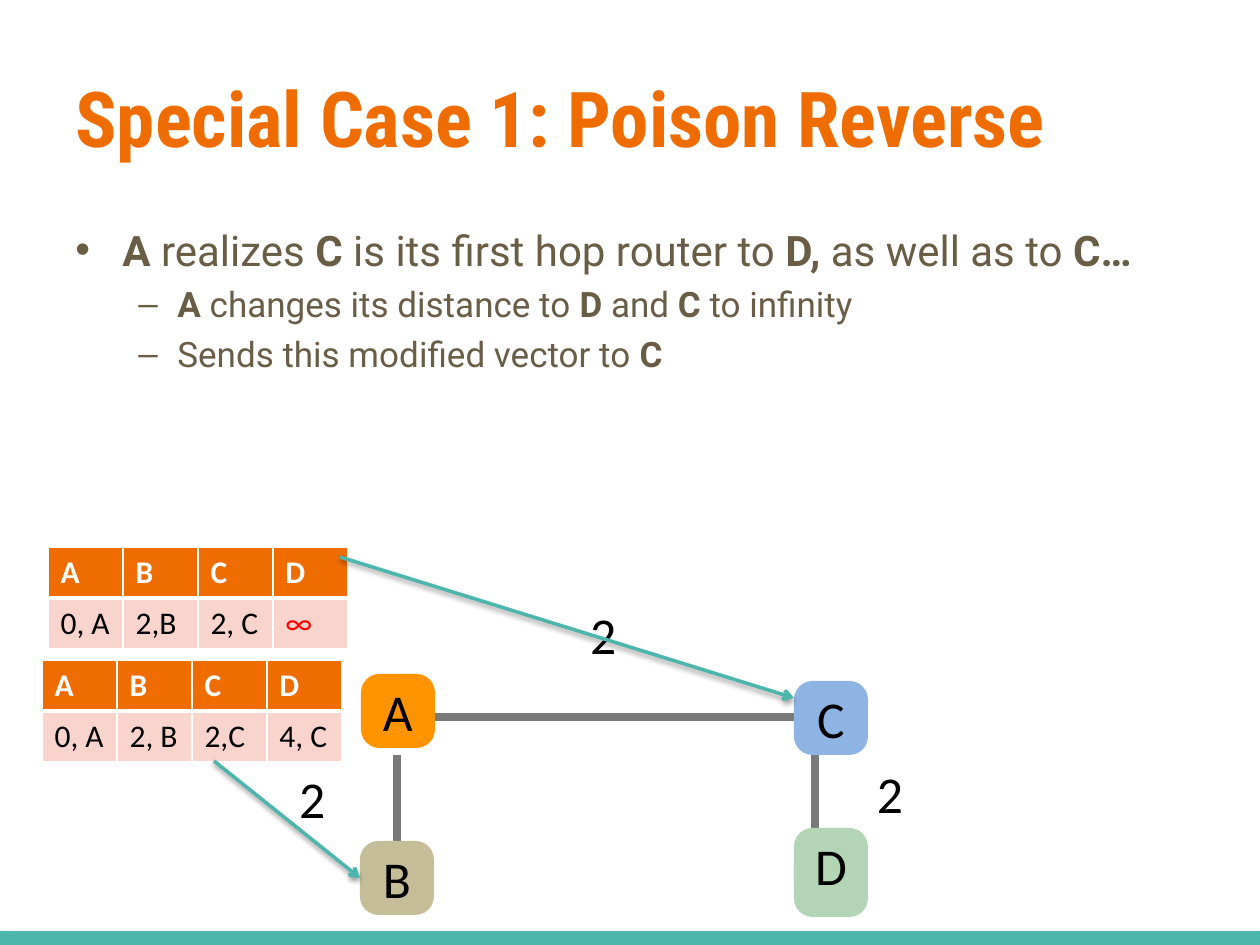
from lxml import etree
from pptx import Presentation
from pptx.dml.color import RGBColor
from pptx.enum.shapes import MSO_CONNECTOR, MSO_SHAPE
from pptx.enum.text import MSO_ANCHOR, PP_ALIGN
from pptx.oxml import parse_xml
from pptx.oxml.ns import nsdecls, qn
from pptx.util import Pt

PX = 7257  # EMU per pixel at 126 pixels to the inch
STRAIGHT, ROUNDED = MSO_CONNECTOR.STRAIGHT, MSO_SHAPE.ROUNDED_RECTANGLE
MIDDLE, CENTER = MSO_ANCHOR.MIDDLE, PP_ALIGN.CENTER
ORANGE, TEAL, GRAY, PINK = "EF6C00", "4DB6AC", "797979", "F9D4CC"
BLACK, WHITE, RED, BROWN = "000000", "FFFFFF", "FF0000", "695D46"
NODE_SIZE = 74
COLUMN_WIDTH, ROW_HEIGHT = 75, 51

SHADOW = f"""<a:effectLst {nsdecls('a')}>
  <a:outerShdw blurRad="39370" dist="20320" dir="5400000" rotWithShape="0">
    <a:srgbClr val="000000"><a:alpha val="38000"/></a:srgbClr>
  </a:outerShdw>
</a:effectLst>"""


def write(paragraph, runs, color, **font_format):
    """Add (text, bold) runs that share one font format."""
    for text, bold in runs:
        run = paragraph.add_run()
        run.text = text
        for name, value in {**font_format, "bold": bold}.items():
            setattr(run.font, name, value)
        run.font.color.rgb = RGBColor.from_string(color)


def connect(x1, y1, x2, y2, color, width, shadow=False, arrow=False):
    line = slide.shapes.add_connector(STRAIGHT, x1 * PX, y1 * PX, x2 * PX, y2 * PX)
    line.line.color.rgb = RGBColor.from_string(color)
    line.line.width = Pt(width)
    properties = line.element.spPr
    if arrow:
        etree.SubElement(properties.find(qn("a:ln")), qn("a:tailEnd"), type="arrow")
    properties.append(parse_xml(SHADOW if shadow else f"<a:effectLst {nsdecls('a')}/>"))


prs = Presentation()
prs.slide_width, prs.slide_height = 1260 * PX, 945 * PX
slide = prs.slides.add_slide(prs.slide_layouts[6])

connect(0, 940, 1260, 940, TEAL, 10, shadow=True)

title = slide.shapes.add_textbox(63 * PX, 38 * PX, 1134 * PX, 157 * PX).text_frame
title.word_wrap = True
title.vertical_anchor = MIDDLE
write(title.paragraphs[0], [("Special Case 1: Poison Reverse", True)], ORANGE,
      size=Pt(44), name="Roboto Condensed")

# Bullet points: marker, text indent, hanging indent, font size, runs
points = [
    ("•", 47, 47, 24, [("A", True), (" realizes ", False), ("C ", True),
                       ("is its first hop router to ", False), ("D, ", True),
                       ("as well as to ", False), ("C…", True)]),
    ("–", 102, 39, 20, [("A ", True), ("changes its distance to ", False), ("D", True),
                        (" and ", False), ("C", True), (" to infinity", False)]),
    ("–", 102, 39, 20, [("Sends this modified vector to ", False), ("C", True)]),
]
body = slide.shapes.add_textbox(63 * PX, 218 * PX, 1134 * PX, 620 * PX).text_frame
body.word_wrap = True
for index, (marker, indent, hanging, size, runs) in enumerate(points):
    point = body.add_paragraph() if index else body.paragraphs[0]
    if index:
        point.level = 1
        point.space_before = Pt(4.5)
    properties = point._p.get_or_add_pPr()
    properties.set("marL", str(indent * PX))
    properties.set("indent", str(-hanging * PX))
    color = etree.SubElement(properties, qn("a:buClr"))
    etree.SubElement(color, qn("a:srgbClr"), val=BROWN)
    etree.SubElement(properties, qn("a:buFont"), typeface="Arial")
    etree.SubElement(properties, qn("a:buChar"), char=marker)
    write(point, runs, BROWN, size=Pt(size), name="Roboto")

# Router links
connect(435, 717, 794, 717, GRAY, 5)
connect(815, 755, 815, 842, GRAY, 5)
connect(397, 755, 397, 842, GRAY, 5)

# Routers; the plain one sits behind D
for router, left, top, color in [
    ("A", 361, 674, "FF9300"),
    ("C", 794, 681, "8EB4E3"),
    ("B", 360, 841, "C4BD97"),
    ("", 794, 843, "B3D5B5"),
    ("D", 794, 828, "B3D5B5"),
]:
    node = slide.shapes.add_shape(ROUNDED, left * PX, top * PX, NODE_SIZE * PX, NODE_SIZE * PX)
    node.adjustments[0] = 0.25
    node.shadow.inherit = False
    node.fill.solid()
    node.fill.fore_color.rgb = RGBColor.from_string(color)
    node.line.fill.background()
    if router:
        frame = node.text_frame
        for side in ("left", "top", "right", "bottom"):
            setattr(frame, f"margin_{side}", 0)
        frame.vertical_anchor = MIDDLE
        frame.paragraphs[0].alignment = CENTER
        write(frame.paragraphs[0], [(router, False)], BLACK, size=Pt(29.5), name="Calibri")

# Link costs
for left, top in [(294, 761), (585, 597), (872, 756)]:
    cost = slide.shapes.add_textbox(left * PX, top * PX, 59 * PX, 73 * PX).text_frame
    cost.word_wrap = True
    cost.vertical_anchor = MIDDLE
    for side in ("left", "top", "right", "bottom"):
        setattr(cost, f"margin_{side}", 5 * PX)
    write(cost.paragraphs[0], [("2", False)], BLACK, size=Pt(29.5), name="Calibri")

# Distance vectors that A sends to B and to C
for left, top, distances in [
    (42, 660, ["0, A", "2, B", "2,C", "4, C"]),
    (48, 547, ["0, A", "2,B", "2, C", "∞"]),
]:
    vector = slide.shapes.add_table(2, 4, left * PX, top * PX, 4 * COLUMN_WIDTH * PX,
                                    2 * ROW_HEIGHT * PX).table
    for column in vector.columns:
        column.width = COLUMN_WIDTH * PX
    for row, texts in enumerate([list("ABCD"), distances]):
        vector.rows[row].height = ROW_HEIGHT * PX
        header = row == 0
        for column, text in enumerate(texts):
            cell = vector.cell(row, column)
            divider = "lnB" if header else "lnT"
            for edge in ("lnL", "lnR", "lnT", "lnB"):
                width = Pt(3 if edge == divider else 1)
                cell._tc.get_or_add_tcPr().append(parse_xml(
                    f'<a:{edge} {nsdecls("a")} w="{width}"><a:solidFill>'
                    f'<a:srgbClr val="{WHITE}"/></a:solidFill></a:{edge}>'))
            cell.fill.solid()
            cell.fill.fore_color.rgb = RGBColor.from_string(ORANGE if header else PINK)
            color = WHITE if header else RED if text == "∞" else BLACK
            write(cell.text_frame.paragraphs[0], [(text, header)], color,
                  size=Pt(18), name="Calibri")

# Vectors on their way to C and B
connect(340, 557, 794, 698, TEAL, 2, shadow=True, arrow=True)
connect(214, 761, 360, 878, TEAL, 2, shadow=True, arrow=True)

prs.save("out.pptx")
